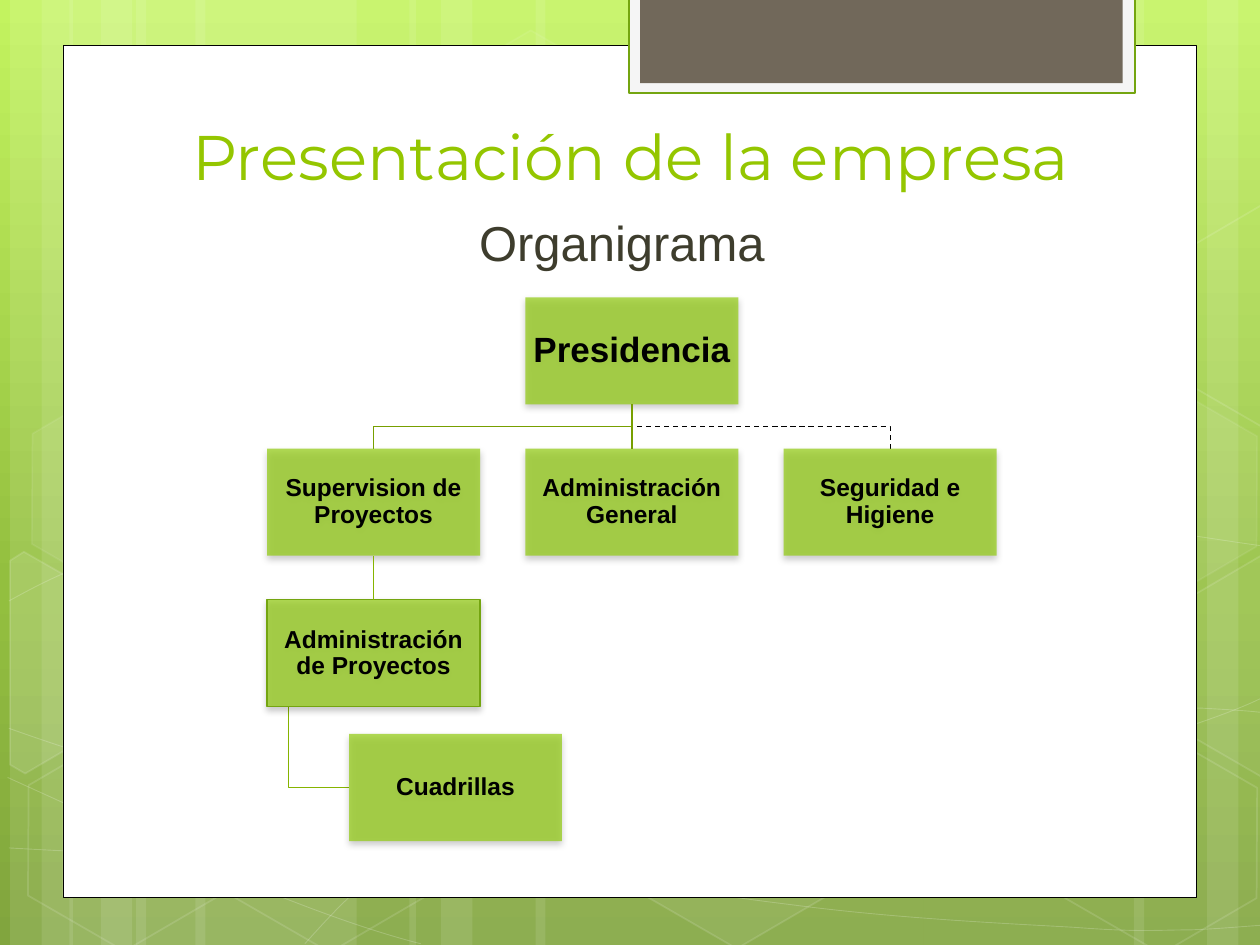
from copy import deepcopy

from lxml.etree import SubElement
from pptx import Presentation
from pptx.dml.color import RGBColor
from pptx.enum.dml import MSO_LINE
from pptx.enum.shapes import MSO_CONNECTOR, MSO_SHAPE
from pptx.enum.text import MSO_ANCHOR, PP_ALIGN
from pptx.oxml.ns import qn
from pptx.util import Inches, Pt

WHITE = RGBColor(0xFF, 0xFF, 0xFF)
BLACK = RGBColor(0x00, 0x00, 0x00)
SKY = RGBColor(0xC3, 0xF3, 0x5F)
MEADOW = RGBColor(0x93, 0xBF, 0x3F)
MOSS = RGBColor(0x81, 0xA5, 0x3E)
PALE = RGBColor(0xF5, 0xF5, 0xF5)
BROWN = RGBColor(0x71, 0x68, 0x5A)
BORDER = RGBColor(0x74, 0xA5, 0x10)
TITLE = RGBColor(0x94, 0xC6, 0x00)
SUBTITLE = RGBColor(0x3E, 0x3D, 0x2D)
BOX = RGBColor(0x94, 0xCC, 0x16)
LINK = RGBColor(0x77, 0x9F, 0x00)
LOWER_LINK = RGBColor(0x86, 0xB4, 0x00)

deck = Presentation()
deck.slide_width, deck.slide_height = Inches(10), Inches(7.5)
page = deck.slides.add_slide(deck.slide_layouts[1])
shapes = page.shapes


def paint(shape, fill=None, opacity=100, line=None, width=1, line_opacity=100):
    """Set fill and line, each with an opacity in percent; None leaves it empty."""
    shape.shadow.inherit = False
    for part, color in ((shape.fill, fill), (shape.line.fill, line)):
        if color is None:
            part.background()
        else:
            part.solid()
            part.fore_color.rgb = color
    if line is not None:
        shape.line.width = Pt(width)
    for place, percent in (("a:solidFill", opacity), ("a:ln/a:solidFill", line_opacity)):
        for color in shape.element.spPr.xpath(f"./{place}/a:srgbClr"):
            if percent < 100:
                SubElement(color, qn("a:alpha"), val=str(percent * 1000))


def draw_path(points, close=False):
    start, *rest = [(Inches(x), Inches(y)) for x, y in points]
    builder = shapes.build_freeform(*start)
    builder.add_line_segments(rest, close=close)
    return builder.convert_to_shape()


# Background gradient
backdrop = page.background.fill
backdrop.gradient()
stop_list = page.element.xpath(".//p:bg//a:gsLst")[0]
stop_list.append(deepcopy(stop_list[0]))
for stop, color, position in zip(backdrop.gradient_stops, (SKY, MEADOW, MOSS), (0, 0.62, 1)):
    stop.color.rgb = color
    stop.position = position
backdrop.gradient_angle = 270

# Vertical light bands: left, width
bands = [(1.08, 1.75), (0.08, 0.5), (0.33, 0.83), (1.55, 1.75), (0.55, 0.5), (0.8, 0.83),
         (7.33, 1.75), (9.58, 0.5), (9, 0.83), (4.25, 3.08), (3.25, 0.5), (3.5, 0.83)]
for left, width in bands:
    band = shapes.add_shape(MSO_SHAPE.RECTANGLE, Inches(left), 0, Inches(width), deck.slide_height)
    paint(band, WHITE, 10)

# Thin curves: a start point, then two control points and an end point per segment
curves = [
    [(0.07, 6.73), (0.61, 6.76), (1.15, 6.79), (1.9, 6.78), (2.65, 6.77), (3.58, 6.75),
     (4.58, 6.65), (5.58, 6.55), (7, 6.36), (7.92, 6.17), (8.83, 5.98), (9.77, 5.68), (10.07, 5.51)],
    [(0.07, 4.77), (0.36, 4.61), (0.65, 4.46), (1.21, 4.31), (1.78, 4.16), (2.59, 3.94),
     (3.47, 3.87), (4.36, 3.8), (5.44, 3.79), (6.54, 3.87), (7.64, 3.95), (9.47, 4.26), (10.07, 4.34)],
    [(0.06, 6.17), (1.27, 6.72), (2.47, 7.27), (3.34, 7.49)],
    [(0.07, 5.78), (0.38, 5.89), (0.7, 6), (1.28, 6.16), (1.86, 6.31), (2.73, 6.56),
     (3.57, 6.73), (4.4, 6.9), (5.45, 7.08), (6.28, 7.18), (7.11, 7.29), (8, 7.33), (8.53, 7.36),
     (9.05, 7.4), (9.19, 7.38), (9.45, 7.38), (9.71, 7.37), (9.89, 7.35), (10.07, 7.34)],
    [(2.42, 7.49), (2.6, 7.29), (2.78, 7.09), (3.02, 6.91), (3.26, 6.73), (3.6, 6.53),
     (3.88, 6.39), (4.16, 6.25), (4.33, 6.19), (4.7, 6.09), (5.06, 5.99), (5.73, 5.85),
     (6.08, 5.78), (6.44, 5.71), (6.49, 5.71), (6.8, 5.69), (7.11, 5.66), (7.6, 5.63),
     (7.94, 5.62), (8.29, 5.61), (8.86, 5.62), (8.86, 5.62), (9.08, 5.62), (9.31, 5.62),
     (9.53, 5.62), (9.71, 5.63), (9.88, 5.64), (9.97, 5.65), (10.06, 5.66), (10.03, 5.65), (10.06, 5.66)],
]
for points in curves:
    curve = draw_path(points)
    paint(curve, line=WHITE, width=0.5, line_opacity=20)
    outline = curve.element.xpath(".//a:path")[0]
    sides = outline.findall(qn("a:lnTo"))
    for first in range(0, len(sides), 3):
        segment = SubElement(outline, qn("a:cubicBezTo"))
        for side in sides[first:first + 3]:
            segment.append(side[0])
            outline.remove(side)

# Hexagons: left, top, fill opacity, line opacity
hexagons = [(3.34, 0.36, 4, 8), (4.97, 5.89, 6, 12), (0.11, 5.91, 0, 12), (0.14, 3.12, 7, 8),
            (1.74, 5.92, 0, 12), (7.53, 4.53, 10, 12), (8.34, 5.93, 0, 12), (8.34, 3.14, 7, 8)]
for left, top, opacity, line_opacity in hexagons:
    hexagon = shapes.add_shape(MSO_SHAPE.HEXAGON, Inches(left), Inches(top), Inches(1.75), Inches(1.52))
    hexagon.adjustments[0], hexagon.adjustments[1] = 0.285, 1.155
    hexagon.rotation = 30
    paint(hexagon, WHITE if opacity else None, opacity, WHITE, 1, line_opacity)

# Hexagons cut by the slide's edge: corners, fill opacity
cut_hexagons = [
    ([(0.08, 4.45), (0.19, 4.38), (0.96, 4.82), (0.95, 5.7), (0.2, 6.14), (0.08, 6.07)], 10),
    ([(9.26, 4.85), (10.01, 4.41), (10.09, 4.46), (10.09, 6.13), (10.02, 6.17), (9.26, 5.73)], 4),
    ([(9.26, 2.07), (10.01, 1.63), (10.1, 1.68), (10.09, 3.35), (10.02, 3.39), (9.26, 2.95)], 0),
]
for corners, opacity in cut_hexagons:
    paint(draw_path(corners, close=True), WHITE if opacity else None, opacity, WHITE, 1, 12)

# White panel and the tab at its top
panels = [(0.5, 0.36, 9, 6.76, WHITE, BLACK, 0.5),
          (4.99, -0.02, 4.02, 0.76, PALE, BORDER, 1.25),
          (5.08, -0.02, 3.83, 0.68, BROWN, None, 0)]
for left, top, width, height, fill, line, line_width in panels:
    panel = shapes.add_shape(MSO_SHAPE.RECTANGLE, Inches(left), Inches(top), Inches(width), Inches(height))
    paint(panel, fill, line=line, width=line_width)

# Title and subtitle, brought in front of the panel
headings = [
    (shapes.title, (0.83, 0.92, 8.35, 0.66), "Presentación de la empresa", 36, "Montserrat", TITLE,
     MSO_ANCHOR.BOTTOM, 0, 0),
    (page.placeholders[1], (1.17, 1.64, 7.41, 3.84), "Organigrama", 28, "Arial", SUBTITLE,
     MSO_ANCHOR.TOP, 0.12, 5.6),
]
for holder, place, text, size, font, color, anchor, indent, space in headings:
    holder.left, holder.top, holder.width, holder.height = map(Inches, place)
    holder.text_frame.text = text
    holder.text_frame.vertical_anchor = anchor
    para = holder.text_frame.paragraphs[0]
    para.alignment, para.space_before = PP_ALIGN.CENTER, Pt(space)
    properties = para._p.get_or_add_pPr()
    properties.set("marL", str(Inches(indent)))
    properties.set("indent", "0")
    SubElement(properties, qn("a:buNone"))
    para.font.size, para.font.name = Pt(size), font
    para.font.color.rgb = color
    shapes.element.append(holder.element)

# Organization chart on a grid of columns and rows
LEFT, TOP, COLUMN, ROW = 2.12, 2.36, 2.05, 1.2
BOX_WIDTH, BOX_HEIGHT = 1.69, 0.85
middles = [LEFT + BOX_WIDTH / 2 + column * COLUMN for column in range(3)]
president_bottom, staff_top = TOP + BOX_HEIGHT, TOP + ROW
bend = (president_bottom + staff_top) / 2
stem = LEFT + 0.17
crew_left, crew_middle = LEFT + 0.65, 6.25

elbows = [([(middles[1], president_bottom), (middles[1], bend), (middles[end], bend),
            (middles[end], staff_top)], color, dash)
          for end, color, dash in ((2, BLACK, MSO_LINE.DASH), (0, LINK, None))]
elbows.append(([(stem, TOP + 2 * ROW + BOX_HEIGHT), (stem, crew_middle), (crew_left, crew_middle)],
               LOWER_LINK, None))
for points, color, dash in elbows:
    elbow = draw_path(points)
    paint(elbow, line=color, width=0.75)
    elbow.line.dash_style = dash

# Label, column, row, text size, line
posts = [("Presidencia", 1, 0, 20, None),
         ("Supervision de Proyectos", 0, 1, 14, None),
         ("Administración de Proyectos", 0, 2, 14, BORDER),
         ("Cuadrillas", 0.65 / COLUMN, (crew_middle - BOX_HEIGHT / 2 - TOP) / ROW, 14, None),
         ("Administración General", 1, 1, 14, None),
         ("Seguridad e Higiene", 2, 1, 14, None)]
boxes = {}
for label, column, row, size, line in posts:
    box = shapes.add_shape(MSO_SHAPE.RECTANGLE, Inches(LEFT + column * COLUMN), Inches(TOP + row * ROW),
                           Inches(BOX_WIDTH), Inches(BOX_HEIGHT))
    paint(box, BOX, 73, line, 0.75)
    shadow = SubElement(box.element.spPr.find(qn("a:effectLst")), qn("a:outerShdw"),
                        blurRad=str(Pt(4)), dist=str(Pt(2)), dir="5400000", rotWithShape="0")
    shade = SubElement(shadow, qn("a:srgbClr"), val=str(BLACK))
    SubElement(shade, qn("a:alpha"), val="28000")
    frame = box.text_frame
    frame.word_wrap = True
    frame.vertical_anchor = MSO_ANCHOR.MIDDLE
    frame.margin_left = frame.margin_right = frame.margin_top = frame.margin_bottom = Inches(0.01)
    frame.text = label
    para = frame.paragraphs[0]
    para.alignment, para.line_spacing = PP_ALIGN.CENTER, 0.9
    para.font.size, para.font.name, para.font.bold = Pt(size), "Arial", True
    para.font.color.rgb = BLACK
    boxes[label] = box

for upper, lower, color in (("Presidencia", "Administración General", LINK),
                            ("Supervision de Proyectos", "Administración de Proyectos", LOWER_LINK)):
    link = shapes.add_connector(MSO_CONNECTOR.STRAIGHT, 0, 0, 0, 0)
    link.begin_connect(boxes[upper], 2)
    link.end_connect(boxes[lower], 0)
    link.line.color.rgb, link.line.width = color, Pt(0.75)
    SubElement(link.element.spPr, qn("a:effectLst"))

deck.save("out.pptx")
